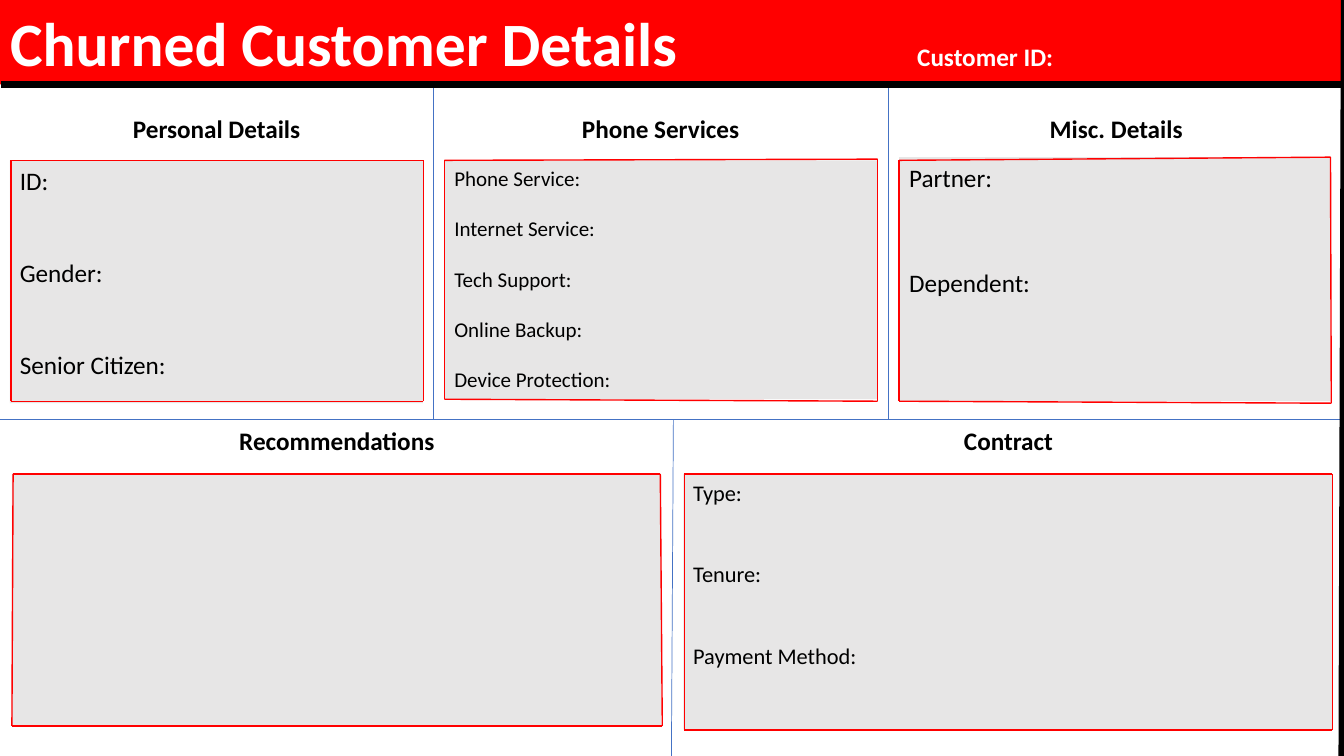
from lxml import etree
from pptx import Presentation
from pptx.dml.color import RGBColor
from pptx.enum.shapes import MSO_CONNECTOR, MSO_SHAPE
from pptx.enum.text import MSO_ANCHOR, MSO_AUTO_SIZE, PP_ALIGN
from pptx.oxml.ns import qn
from pptx.util import Cm, Pt

STRAIGHT = MSO_CONNECTOR.STRAIGHT
RECTANGLE = MSO_SHAPE.RECTANGLE
TOP, MIDDLE = MSO_ANCHOR.TOP, MSO_ANCHOR.MIDDLE
LEFT, CENTER = PP_ALIGN.LEFT, PP_ALIGN.CENTER
FIXED = MSO_AUTO_SIZE.NONE

PAGE_WIDTH, PAGE_HEIGHT = 33.87, 19.05
BANNER_HEIGHT, MIDDLE_LINE = 2.13, 10.57
FONT = "Calibri"
RED, BLUE, BLACK, WHITE, GRAY = "FF0000", "4472C4", "000000", "FFFFFF", "E7E6E6"

HEADINGS = [
    ("Personal Details", 0, 2.74, 10.92),
    ("Phone Services", 10.92, 2.74, 11.46),
    ("Misc. Details", 22.4, 2.74, 11.46),
    ("Recommendations", 0.03, 10.59, 16.92),
    ("Contract", 16.97, 10.59, 16.89),
]

DIVIDERS = [
    ((10.92, BANNER_HEIGHT), (10.92, MIDDLE_LINE)),
    ((22.4, BANNER_HEIGHT), (22.4, MIDDLE_LINE)),
    ((0, MIDDLE_LINE), (PAGE_WIDTH, MIDDLE_LINE)),
    ((16.97, MIDDLE_LINE), (16.92, PAGE_HEIGHT)),
]

# Each card: bounds, border corners clockwise, labels, text size, gap between labels
CARDS = [
    ((0.25, 4.04, 10.41, 6.12),
     [(0.28, 4.04), (10.67, 4.04), (10.67, 10.11), (0.28, 10.11)],
     ["ID:", "Gender:", "Senior Citizen:"], 18, 44),
    ((11.2, 4.04, 10.92, 6.02),
     [(11.2, 4.04), (22.12, 4.01), (22.12, 10.11), (11.2, 10.06)],
     ["Phone Service:", "Internet Service:", "Tech Support:",
      "Online Backup:", "Device Protection:"], 15, 18),
    ((22.66, 3.96, 10.87, 6.15),
     [(22.66, 4.04), (33.53, 3.96), (33.55, 10.16), (22.66, 10.11)],
     ["Partner:", "Dependent:"], 18, 53.5),
    ((0.3, 11.94, 16.36, 6.38),
     [(0.33, 11.94), (16.64, 11.94), (16.69, 18.29), (0.3, 18.29)],
     [], 16, 0),
    ((17.22, 11.94, 16.36, 6.45),
     [(17.25, 11.94), (33.58, 11.94), (33.58, 18.39), (17.25, 18.39)],
     ["Type:", "Tenure:", "Payment Method:"], 16, 39),
]


def color(value):
    return RGBColor.from_string(value)


def place(shape, left, top, width, height):
    shape.left, shape.top = Cm(left), Cm(top)
    shape.width, shape.height = Cm(width), Cm(height)


def paint(shape, value):
    shape.fill.solid()
    shape.fill.fore_color.rgb = color(value)
    shape.line.fill.background()


def add_span(para, text, size, value, bold=False):
    span = para.add_run()
    span.text = text
    span.font.name = FONT
    span.font.size = Pt(size)
    span.font.bold = bold
    span.font.color.rgb = color(value)


def add_tab_stop(para, position):
    stops = etree.SubElement(para._p.get_or_add_pPr(), qn("a:tabLst"))
    etree.SubElement(stops, qn("a:tab"), pos=str(Cm(position)), algn="l")


def add_line(page, start, end, value, width):
    line = page.shapes.add_connector(
        STRAIGHT, Cm(start[0]), Cm(start[1]), Cm(end[0]), Cm(end[1]))
    line.line.color.rgb = color(value)
    line.line.width = Pt(width)
    etree.SubElement(line._element.spPr, qn("a:effectLst"))


def add_banner(page):
    banner = page.shapes.title
    place(banner, 0, 0, PAGE_WIDTH, BANNER_HEIGHT)
    paint(banner, RED)
    frame = banner.text_frame
    frame.auto_size = FIXED
    frame.word_wrap = True
    frame.vertical_anchor = MIDDLE
    para = frame.paragraphs[0]
    para.alignment = LEFT
    add_tab_stop(para, 22.86)
    add_span(para, "Churned Customer Details\t", 44, WHITE, bold=True)
    add_span(para, "Customer ID:", 18, WHITE, bold=True)


def add_heading(page, text, left, top, width):
    box = page.shapes.add_textbox(Cm(left), Cm(top), Cm(width), Cm(1.02))
    box.text_frame.word_wrap = True
    para = box.text_frame.paragraphs[0]
    para.alignment = CENTER
    add_span(para, text, 18, BLACK, bold=True)


def add_card(page, bounds, labels, size, gap):
    card = page.shapes.add_shape(RECTANGLE, *(Cm(value) for value in bounds))
    card.shadow.inherit = False
    paint(card, GRAY)
    frame = card.text_frame
    frame.word_wrap = True
    frame.vertical_anchor = TOP
    for index, label in enumerate(labels):
        para = frame.add_paragraph() if index else frame.paragraphs[0]
        para.alignment = LEFT
        para.space_before = Pt(gap if index else 0)
        add_span(para, label, size, BLACK)


def add_border(page, corners):
    for start, end in zip(corners, corners[1:] + corners[:1]):
        add_line(page, start, end, RED, 1)


def main():
    deck = Presentation()
    deck.slide_width, deck.slide_height = Cm(PAGE_WIDTH), Cm(PAGE_HEIGHT)
    page = deck.slides.add_slide(deck.slide_layouts[5])
    add_banner(page)
    for heading in HEADINGS:
        add_heading(page, *heading)
    for start, end in DIVIDERS:
        add_line(page, start, end, BLUE, 0.5)
    for bounds, corners, labels, size, gap in CARDS:
        add_card(page, bounds, labels, size, gap)
    add_line(page, (0.03, BANNER_HEIGHT), (PAGE_WIDTH, BANNER_HEIGHT), BLACK, 4.5)
    add_line(page, (33.81, PAGE_HEIGHT), (PAGE_WIDTH, 0), BLACK, 4.5)
    for bounds, corners, labels, size, gap in CARDS:
        add_border(page, corners)
    deck.save("out.pptx")


main()
